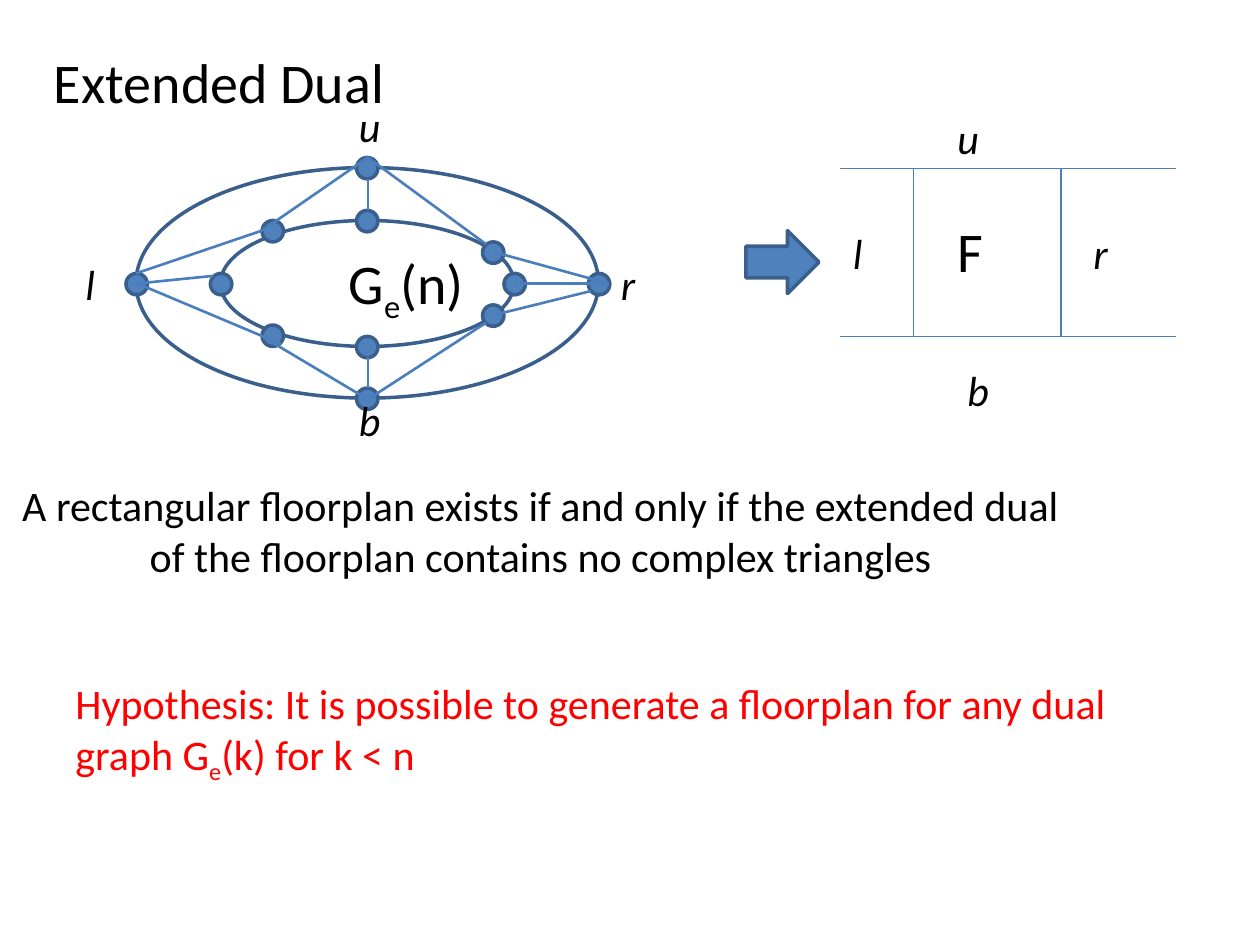
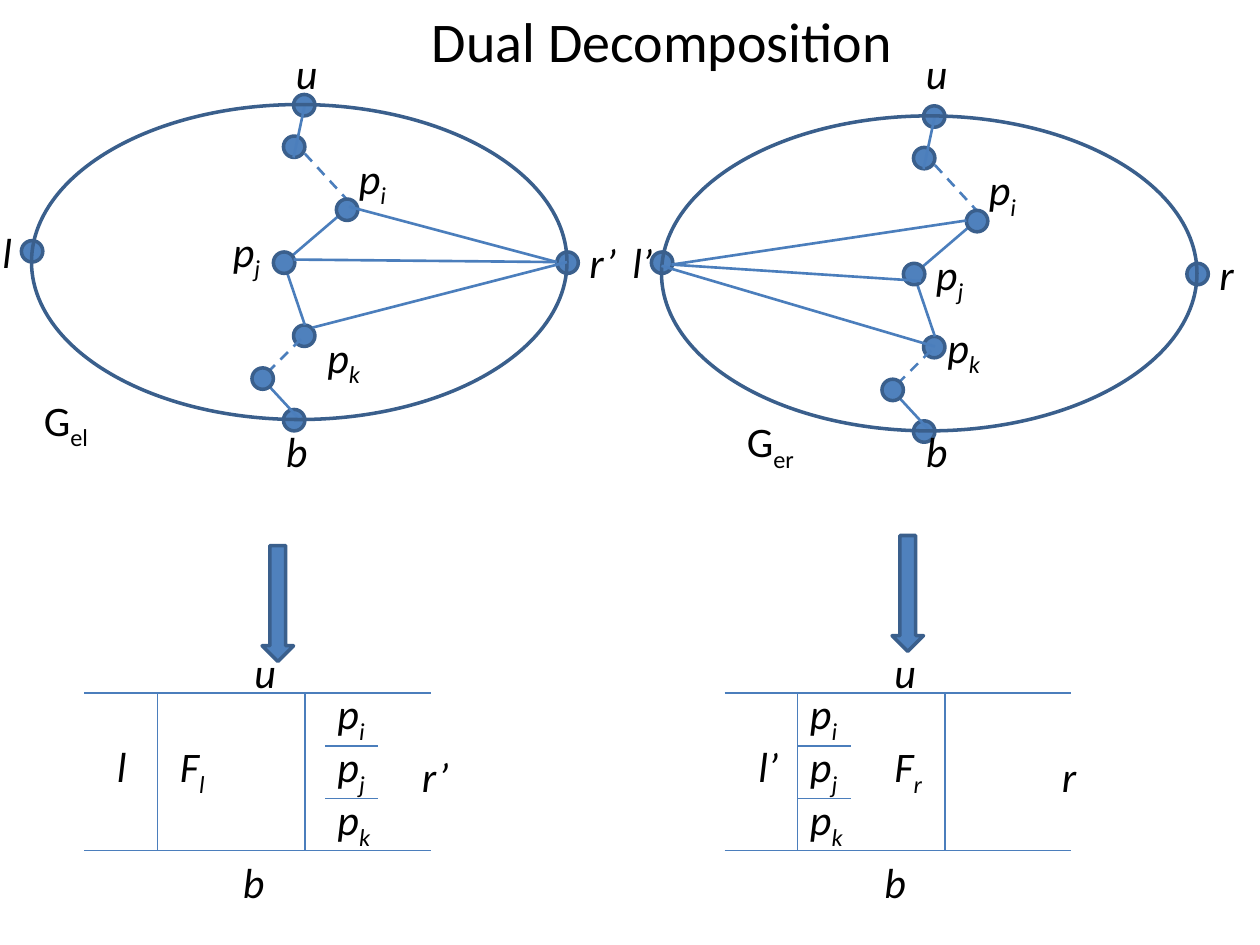
from dataclasses import dataclass

from lxml import etree
from pptx import Presentation
from pptx import util as u
from pptx.dml.color import RGBColor
from pptx.enum import dml, shapes, text
from pptx.oxml.ns import qn
from pptx.slide import Slide

BLACK = RGBColor(0x00, 0x00, 0x00)
WHITE = RGBColor(0xFF, 0xFF, 0xFF)
RED = RGBColor(0xFF, 0x00, 0x00)
BLUE = RGBColor(0x4F, 0x81, 0xBD)
OUTLINE = RGBColor(0x3A, 0x5F, 0x8C)
EDGE = RGBColor(0x4B, 0x7E, 0xBC)

FONT = "Calibri"
TITLE_SIZE, BODY_SIZE = 32, 24
NODE_SIZE = 0.17
LABEL_WIDTH = 0.58
EDGE_WIDTH, WALL_WIDTH = 1.5, 0.75
OVAL = shapes.MSO_SHAPE.OVAL

Point = tuple[float, float]
Edge = tuple[Point, Point]


@dataclass
class Label:
    """Text in which every second part between bars is a subscript."""
    words: str
    left: float
    top: float
    width: float = LABEL_WIDTH
    height: float = 0.5
    size: int = BODY_SIZE
    italic: bool = True
    color: RGBColor = BLACK
    align: text.PP_ALIGN = text.PP_ALIGN.LEFT


@dataclass
class Floorplan:
    left: float
    top: float
    width: float
    height: float

    @property
    def walls(self) -> Point:
        return self.left + 0.58, self.left + 2.33 - 0.58


@dataclass
class Half:
    """One part of the decomposition: its graph and its floorplan."""
    shift_x: float
    shift_y: float
    spokes: list[Edge]
    labels: list[Label]
    arrow: Point
    plan: Floorplan
    strip_left: float


def add_label(page: Slide, label: Label) -> None:
    box = page.shapes.add_textbox(*map(u.Inches, (
        label.left, label.top, label.width, label.height)))
    frame = box.text_frame
    frame.word_wrap = True
    frame.auto_size = text.MSO_AUTO_SIZE.SHAPE_TO_FIT_TEXT
    para = frame.paragraphs[0]
    para.alignment = label.align
    para.font.name = FONT
    para.font.size = u.Pt(label.size)
    para.font.italic = label.italic
    para.font.color.rgb = label.color
    for index, part in enumerate(label.words.split("|")):
        span = para.add_run()
        span.text = part
        if index % 2:
            span.font._element.set("baseline", "-25000")


def add_title(page: Slide, words: str, left: float, top: float, width: float) -> None:
    add_label(page, Label(words, left, top, width, 0.64, TITLE_SIZE, italic=False))


def add_figure(page: Slide, kind: shapes.MSO_SHAPE, left: float, top: float,
               width: float, height: float, fill: RGBColor | None = BLUE) -> None:
    figure = page.shapes.add_shape(kind, *map(u.Inches, (left, top, width, height)))
    figure.shadow.inherit = False
    if fill is None:
        figure.fill.background()
    else:
        figure.fill.solid()
        figure.fill.fore_color.rgb = fill
    figure.line.color.rgb = OUTLINE
    figure.line.width = u.Pt(2)


def add_nodes(page: Slide, corners: list[Point], dx: float = 0, dy: float = 0) -> None:
    for left, top in corners:
        add_figure(page, OVAL, left + dx, top + dy, NODE_SIZE, NODE_SIZE)


def add_edges(page: Slide, edges: list[Edge], dx: float = 0, dy: float = 0,
              width: float = EDGE_WIDTH, dashed: bool = False) -> None:
    for (x1, y1), (x2, y2) in edges:
        edge = page.shapes.add_connector(shapes.MSO_CONNECTOR.STRAIGHT, *map(
            u.Inches, (x1 + dx, y1 + dy, x2 + dx, y2 + dy)))
        edge.line.color.rgb = EDGE
        edge.line.width = u.Pt(width)
        if dashed:
            edge.line.dash_style = dml.MSO_LINE.DASH
        etree.SubElement(edge._element.spPr, qn("a:effectLst"))


def add_floorplan(page: Slide, plan: Floorplan) -> None:
    right, bottom = plan.left + plan.width, plan.top + plan.height
    rows = [((plan.left, y), (right, y)) for y in (plan.top, bottom)]
    columns = [((x, plan.top), (x, bottom)) for x in plan.walls]
    add_edges(page, rows + columns, width=WALL_WIDTH)


# Extended dual
DUAL_NODES = [
    (2.83, 1.25), (2.83, 1.67), (2.83, 2.67), (2.83, 3.08),
    (4.67, 2.17), (4, 2.17), (1.67, 2.17), (1, 2.17),
    (2.08, 1.75), (2.08, 2.58), (3.83, 2.42), (3.83, 1.92),
]
DUAL_EDGES = [
    ((2.92, 1.42), (2.92, 1.67)), ((2.92, 2.83), (2.92, 3.08)),
    ((4.83, 2.25), (3.92, 2)), ((3.92, 2.5), (4.69, 2.31)),
    ((2.08, 1.83), (1.08, 2.17)), ((2.92, 3.17), (3.86, 2.56)),
    ((2.92, 3.17), (2.08, 2.67)), ((4.83, 2.25), (4.08, 2.25)),
    ((3.86, 1.94), (2.92, 1.25)), ((2.08, 1.83), (2.92, 1.25)),
    ((1.09, 2.25), (1.69, 2.19)), ((1.09, 2.25), (2.23, 2.73)),
]
DUAL_LABELS = [
    Label("G|e|(n)", 2.67, 1.92, 1.25, 0.64, TITLE_SIZE, italic=False),
    Label("u", 2.75, 0.75), Label("l", 0.58, 2),
    Label("r", 4.83, 2), Label("b", 2.75, 3.08),
    Label("u", 7.5, 0.84), Label("l", 6.67, 1.76),
    Label("r", 8.58, 1.76), Label("b", 7.58, 2.84),
    Label("F", 7.5, 1.67, 0.75, 0.64, TITLE_SIZE, italic=False),
    Label("A rectangular floorplan exists if and only if the extended dual "
          "of the floorplan contains no complex triangles",
          0, 3.76, 8.58, 0.91, italic=False, align=text.PP_ALIGN.CENTER),
    Label("Hypothesis: It is possible to generate a floorplan for any dual "
          "graph G|e|(k) for k < n",
          0.5, 5.33, 8.58, 0.91, italic=False, color=RED),
]

# Decomposition: the cutting path as placed in the left half
PATH_ENDS = [(2.33, 0.75), (2.33, 2.58), (2.25, 1.08), (2.25, 3.25)]
PATH_INNER = [(2, 2.92), (2.67, 1.58), (2.17, 2), (0.17, 1.91), (4.42, 2)]
PATH_EDGES = [
    ((2.42, 0.83), (2.33, 1.25)), ((2.02, 2.94), (2.38, 3.33)),
    ((2.42, 2.58), (2.25, 2.08)), ((2.19, 2.14), (2.75, 1.66)),
]
PATH_GAPS = [((2.02, 3.06), (2.42, 2.66)), ((2.42, 1.22), (2.75, 1.58))]
STRIP_NAMES = ("p|i", "p|j", "p|k")
STRIP_WIDTH, STRIP_STEP = 0.42, 0.42

HALVES = [
    Half(
        0, 0,
        [((2.77, 1.64), (4.42, 2.08)), ((2.33, 2.06), (4.42, 2.08)),
         ((2.48, 2.6), (4.5, 2.08))],
        [Label("u", 2.25, 0.33), Label("l", -0.08, 1.75), Label("r’", 4.58, 1.83),
         Label("b", 2.17, 3.33), Label("p|i", 2.75, 1.16),
         Label("p|j", 1.75, 1.74), Label("p|k", 2.5, 2.58),
         Label("G|el", 0.25, 3.08, 0.67, italic=False),
         Label("u", 1.92, 5.08), Label("l", 0.83, 5.83), Label("r’", 3.25, 5.91),
         Label("b", 1.83, 6.75), Label("F|l", 1.33, 5.83, 0.67)],
        (2.08, 4.33), Floorplan(0.67, 5.5, 2.75, 1.25), 2.58),
    Half(
        5, 0.09,
        [((7.67, 1.75), (5.33, 2.1)), ((7.31, 2.23), (5.33, 2.1)),
         ((7.42, 2.75), (5.25, 2.11))],
        [Label("u", 7.25, 0.33), Label("l’", 4.92, 1.83), Label("r", 9.58, 1.92),
         Label("b", 7.25, 3.33), Label("p|i", 7.75, 1.25),
         Label("p|j", 7.33, 1.92), Label("p|k", 7.42, 2.5),
         Label("G|er", 5.83, 3.25, 0.67, italic=False),
         Label("u", 7, 5.08), Label("l’", 5.92, 5.83), Label("r", 8.33, 5.91),
         Label("b", 6.92, 6.75), Label("F|r", 7, 5.83, 0.67)],
        (7.08, 4.25), Floorplan(5.75, 5.5, 2.75, 1.25), 6.33),
]


def draw_extended_dual(page: Slide) -> None:
    add_figure(page, OVAL, 1.08, 1.33, 3.67, 1.83, WHITE)
    add_figure(page, OVAL, 1.75, 1.75, 2.33, 1, WHITE)
    add_nodes(page, DUAL_NODES)
    add_edges(page, DUAL_EDGES)
    add_floorplan(page, Floorplan(6.67, 1.34, 2.66, 1.33))
    for label in DUAL_LABELS:
        add_label(page, label)
    add_title(page, "Extended Dual", 0.33, 0.33, 3.25)
    add_figure(page, shapes.MSO_SHAPE.RIGHT_ARROW, 5.92, 1.83, 0.58, 0.5)


def draw_half(page: Slide, half: Half) -> None:
    shift = half.shift_x, half.shift_y
    add_nodes(page, PATH_ENDS, *shift)
    add_edges(page, PATH_EDGES, *shift)
    add_edges(page, PATH_GAPS, *shift, dashed=True)
    add_nodes(page, PATH_INNER, *shift)
    add_figure(page, OVAL, 0.25 + half.shift_x, 0.83 + half.shift_y, 4.25, 2.5, None)
    add_edges(page, half.spokes)
    add_floorplan(page, half.plan)
    for row, name in enumerate(STRIP_NAMES):
        y = half.plan.top + row * STRIP_STEP
        if row:
            add_edges(page, [((half.strip_left, y), (half.strip_left + STRIP_WIDTH, y))],
                      width=WALL_WIDTH)
        add_label(page, Label(name, half.strip_left, y - 0.09))
    for label in half.labels:
        add_label(page, label)
    add_figure(page, shapes.MSO_SHAPE.DOWN_ARROW, *half.arrow, 0.25, 0.92)


def draw_decomposition(page: Slide) -> None:
    for half in HALVES:
        draw_half(page, half)
    add_title(page, "Dual Decomposition", 3.33, 0, 4.5)


def main() -> None:
    deck = Presentation()
    deck.slide_width, deck.slide_height = u.Inches(10), u.Inches(7.5)
    blank = deck.slide_layouts[6]
    for draw in (draw_extended_dual, draw_decomposition):
        draw(deck.slides.add_slide(blank))
    deck.save("out.pptx")


if __name__ == "__main__":
    main()
